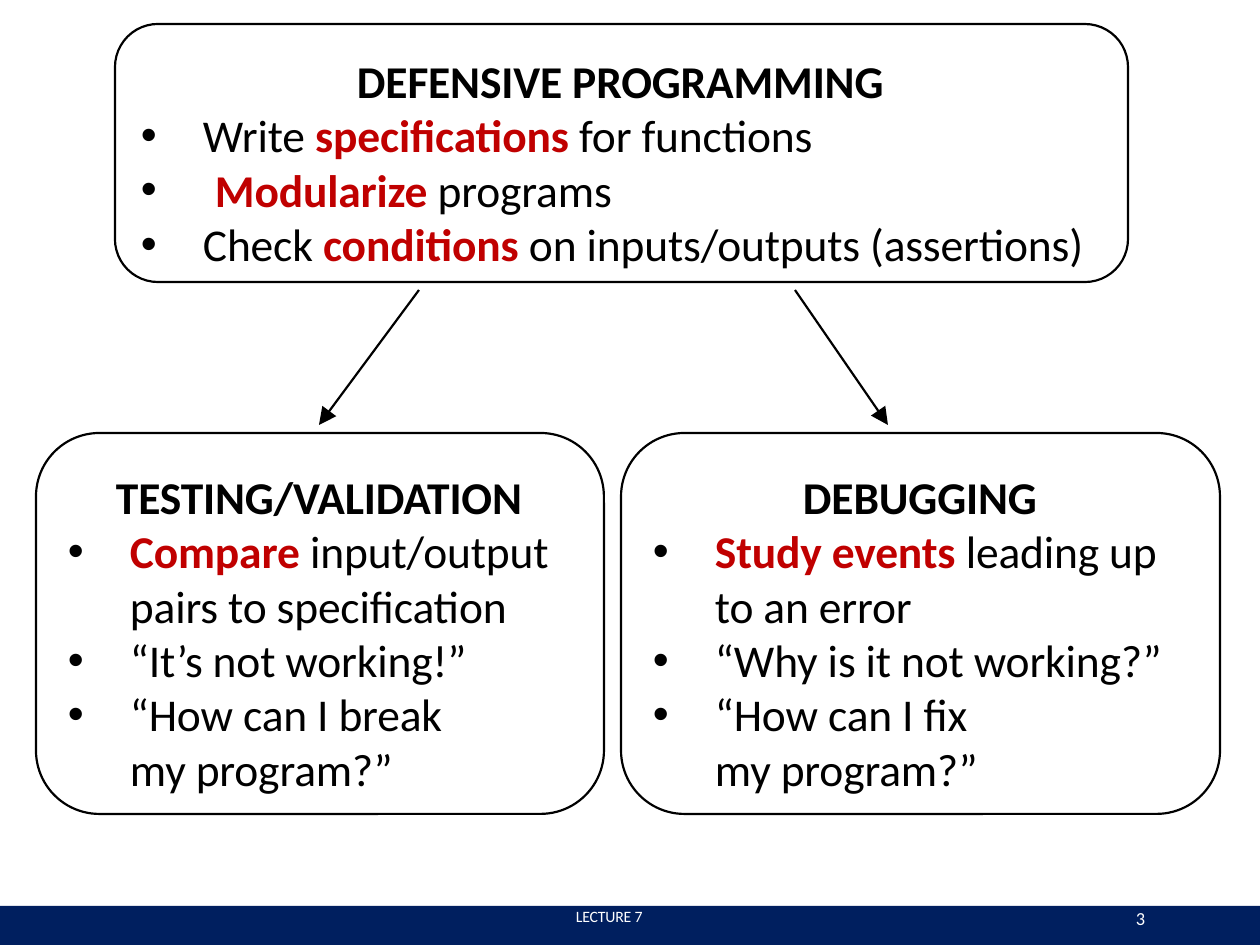
import lxml.etree
import pptx
import pptx.dml.color
import pptx.enum.shapes
import pptx.enum.text
import pptx.oxml.ns
import pptx.util

EMU_PER_PX = 914400 / 126
BLACK, RED, NAVY, WHITE = "000000", "C00000", "001F5F", "FFFFFF"


def px(length):
    """Turn a length in px into EMU."""
    return pptx.util.Emu(round(length * EMU_PER_PX))


def color(hex_string):
    """Return the colour for a hex string."""
    return pptx.dml.color.RGBColor.from_string(hex_string)


def add_child(parent, tag, **attributes):
    """Append a drawing element with its attributes."""
    return lxml.etree.SubElement(parent, pptx.oxml.ns.qn(tag), attributes)


def add_run(paragraph, text, size=26, bold=False, fill=BLACK, spacing=-0.1):
    """Add formatted text to a paragraph."""
    run = paragraph.add_run()
    run.text = text
    run.font.name = "Calibri"
    run.font.size = pptx.util.Pt(size)
    run.font.bold = bold
    run.font.color.rgb = color(fill)
    run.font._element.set("spc", str(round(spacing * 100)))


def add_text_frame(slide, left, top, width, height, wrap=True):
    """Add a text box without margins and return its text frame."""
    frame = slide.shapes.add_textbox(px(left), px(top), px(width), px(height)).text_frame
    frame.margin_left = frame.margin_top = frame.margin_right = frame.margin_bottom = 0
    frame.word_wrap = wrap
    return frame


def indent_paragraph(paragraph, left, hanging=0):
    """Set the indents of a paragraph, with a bullet when it hangs."""
    properties = paragraph._p.get_or_add_pPr()
    properties.set("marL", str(px(left)))
    properties.set("indent", str(-px(hanging)))
    if hanging:
        bullet_color = add_child(properties, "a:buClr")
        add_child(bullet_color, "a:srgbClr", val=BLACK)
        add_child(properties, "a:buFont", typeface="Arial")
        add_child(properties, "a:buChar", char="•")
    paragraph.line_spacing = pptx.util.Pt(31.1)


def add_panel(slide, box, text_box, heading, heading_indent, items):
    """Draw a rounded panel with a heading and bulleted items."""
    left, top, width, height = box
    shape = slide.shapes.add_shape(
        pptx.enum.shapes.MSO_SHAPE.ROUNDED_RECTANGLE, px(left), px(top), px(width), px(height)
    )
    shape.shadow.inherit = False
    shape.fill.background()
    shape.line.color.rgb = color(BLACK)
    shape.line.width = pptx.util.Pt(1.25)

    inset_left, inset_top, text_width, text_height = text_box
    frame = add_text_frame(slide, left + inset_left, top + inset_top, text_width, text_height)
    paragraph = frame.paragraphs[0]
    indent_paragraph(paragraph, heading_indent)
    add_run(paragraph, heading, bold=True)
    for lines, indent in items:
        paragraph = frame.add_paragraph()
        indent_paragraph(paragraph, indent, indent - 2)
        for number, line in enumerate(lines):
            if number:
                paragraph.add_line_break()
            for position, text in enumerate(line.split("*")):
                emphasized = position % 2 == 1
                if text:
                    add_run(paragraph, text, bold=emphasized, fill=RED if emphasized else BLACK)


def add_arrow(slide, start, end):
    """Draw an arrow between two points."""
    connector = slide.shapes.add_connector(
        pptx.enum.shapes.MSO_CONNECTOR.STRAIGHT, *map(px, start + end)
    )
    connector.line.color.rgb = color(BLACK)
    connector.line.width = pptx.util.Pt(1.25)
    add_child(connector.line._get_or_add_ln(), "a:tailEnd", type="triangle", w="lg", len="lg")
    add_child(connector._element.spPr, "a:effectLst")


def add_footer(slide, left, top, width, height):
    """Draw the footer band with the lecture name and page number."""
    band = slide.shapes.add_shape(
        pptx.enum.shapes.MSO_SHAPE.RECTANGLE, px(left), px(top), px(width), px(height)
    )
    band.shadow.inherit = False
    band.fill.solid()
    band.fill.fore_color.rgb = color(NAVY)
    band.line.fill.background()
    for text, offset, text_width, size in (("LECTURE 7", 576, 113, 9), ("3", 1136, 16, 10.5)):
        frame = add_text_frame(slide, left + offset, top + 1, text_width, 24, wrap=False)
        add_run(frame.paragraphs[0], text, size=size, fill=WHITE)


def main():
    """Build and save the slide."""
    presentation = pptx.Presentation()
    presentation.slide_width, presentation.slide_height = px(1260), px(945)
    slide = presentation.slides.add_slide(presentation.slide_layouts[6])

    add_footer(slide, 0, 906, 1260, 39)
    add_panel(slide, (115, 24, 1013, 258), (24, 29, 970, 213), "DEFENSIVE PROGRAMMING", 218, [
        (["Write *specifications* for functions"], 64),
        (["*Modularize* programs"], 76),
        (["Check *conditions* on inputs/outputs (assertions)"], 64),
    ])
    add_panel(slide, (36, 433, 568, 381), (30, 36, 499, 323), "TESTING/VALIDATION", 50, [
        (["*Compare* input/output pairs to specification"], 64),
        (["“It’s not working!”"], 64),
        (["“How can I break", "my program?”"], 64),
    ])
    add_panel(slide, (621, 433, 599, 381), (30, 36, 523, 323), "DEBUGGING", 152, [
        (["*Study events* leading up to an error"], 64),
        (["“Why is it not working?”"], 64),
        (["“How can I fix", "my program?”"], 64),
    ])
    add_arrow(slide, (419, 290), (319, 425))
    add_arrow(slide, (795, 290), (888, 425))
    presentation.save("out.pptx")


if __name__ == "__main__":
    main()
